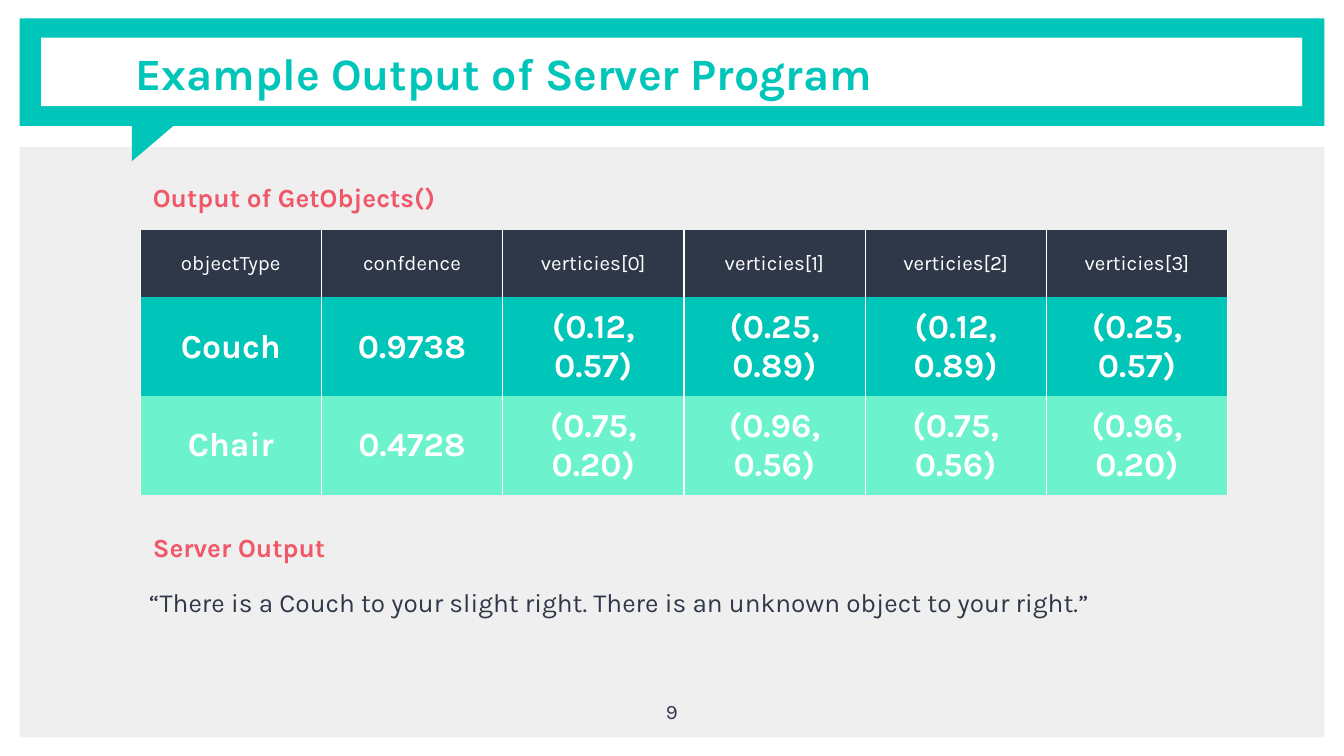
from dataclasses import dataclass

from lxml.etree import SubElement
from pptx import Presentation
from pptx.dml.color import RGBColor
from pptx.enum.shapes import MSO_SHAPE
from pptx.enum.text import MSO_ANCHOR, PP_ALIGN
from pptx.oxml.ns import qn
from pptx.util import Cm, Pt

WHITE = RGBColor(0xFF, 0xFF, 0xFF)
GREY = RGBColor(0xEF, 0xEF, 0xEF)
TEAL = RGBColor(0x00, 0xC5, 0xB9)
MINT = RGBColor(0x6C, 0xF3, 0xCE)
NAVY = RGBColor(0x2F, 0x38, 0x48)
CORAL = RGBColor(0xF0, 0x57, 0x68)
FONT = "Karla"


@dataclass
class Box:
    left: float
    top: float
    width: float
    height: float

    def lengths(self) -> tuple:
        return Cm(self.left), Cm(self.top), Cm(self.width), Cm(self.height)


@dataclass
class Panel:
    box: Box
    color: RGBColor
    kind: MSO_SHAPE = MSO_SHAPE.RECTANGLE
    rotation: int = 0


@dataclass
class Label:
    box: Box
    text: str
    size: int = 14
    color: RGBColor = NAVY
    bold: bool = False
    align: PP_ALIGN = PP_ALIGN.LEFT
    anchor: MSO_ANCHOR = MSO_ANCHOR.TOP
    inset: float = 0.13


@dataclass
class Row:
    height: float
    fill: RGBColor
    size: int
    bold: bool
    texts: list[str]


PANELS = [
    Panel(Box(0.37, 2.78, 24.66, 11.16), GREY),
    Panel(Box(0.37, 0.35, 24.66, 2.03), TEAL),
    Panel(Box(2.57, 2.06, 0.91, 1.07), TEAL, MSO_SHAPE.RIGHT_TRIANGLE, 90),
    Panel(Box(0.78, 0.71, 23.83, 1.3), WHITE),
]

LABELS = [
    Label(Box(2.31, 0.35, 22.1, 2.03), "Example Output of Server Program", size=24,
          color=TEAL, bold=True, anchor=MSO_ANCHOR.MIDDLE, inset=0.25),
    Label(Box(11.94, 12.98, 1.52, 1.09), "9", size=11,
          align=PP_ALIGN.CENTER, inset=0.25),
    Label(Box(2.64, 3.3, 12.7, 0.86), "Output of GetObjects()", color=CORAL, bold=True),
    Label(Box(2.64, 9.91, 12.7, 0.86), "Server Output", color=CORAL, bold=True),
    Label(Box(2.57, 10.95, 21.34, 0.86),
          "“There is a Couch to your slight right. "
          "There is an unknown object to your right.”"),
]

ROWS = [
    Row(1.27, NAVY, 11, False,
        ["objectType", "confdence"] + [f"verticies[{i}]" for i in range(4)]),
    Row(1.87, TEAL, 18, True,
        ["Couch", "0.9738", "(0.12, 0.57)", "(0.25, 0.89)", "(0.12, 0.89)", "(0.25, 0.57)"]),
    Row(1.87, MINT, 18, True,
        ["Chair", "0.4728", "(0.75, 0.20)", "(0.96, 0.56)", "(0.75, 0.56)", "(0.96, 0.20)"]),
]


def write(tf, text: str, *, size: int, color: RGBColor, bold: bool = False,
          align: PP_ALIGN = PP_ALIGN.LEFT) -> None:
    p = tf.paragraphs[0]
    p.alignment = align
    r = p.add_run()
    r.text = text
    r.font.name = FONT
    r.font.size = Pt(size)
    r.font.bold = bold
    r.font.color.rgb = color


def draw_panel(s, panel: Panel) -> None:
    sp = s.shapes.add_shape(panel.kind, *panel.box.lengths())
    sp.rotation = panel.rotation
    sp.shadow.inherit = False
    sp.fill.solid()
    sp.fill.fore_color.rgb = panel.color
    sp.line.fill.background()


def draw_label(s, label: Label) -> None:
    tf = s.shapes.add_textbox(*label.box.lengths()).text_frame
    tf.word_wrap = True
    tf.vertical_anchor = label.anchor
    tf.margin_left = tf.margin_right = Cm(0.25)
    tf.margin_top = tf.margin_bottom = Cm(label.inset)
    write(tf, label.text, size=label.size, color=label.color,
          bold=label.bold, align=label.align)


def set_borders(cell) -> None:
    tcPr = cell._tc.get_or_add_tcPr()
    for side in ("lnL", "lnR"):
        ln = SubElement(tcPr, qn(f"a:{side}"), w=str(Pt(0.75)))
        fill = SubElement(ln, qn("a:solidFill"))
        SubElement(fill, qn("a:srgbClr"), val=str(WHITE))
    for side in ("lnT", "lnB"):
        ln = SubElement(tcPr, qn(f"a:{side}"), w="0")
        SubElement(ln, qn("a:noFill"))


def draw_table(s, box: Box, rows: list[Row]) -> None:
    columns = len(rows[0].texts)
    table = s.shapes.add_table(len(rows), columns, *box.lengths()).table
    table.horz_banding = False
    table.first_row = False
    for column in table.columns:
        column.width = Cm(box.width / columns)
    for i, row in enumerate(rows):
        table.rows[i].height = Cm(row.height)
        for j, text in enumerate(row.texts):
            cell = table.cell(i, j)
            set_borders(cell)
            cell.fill.solid()
            cell.fill.fore_color.rgb = row.fill
            cell.vertical_anchor = MSO_ANCHOR.MIDDLE
            cell.margin_left = cell.margin_right = Cm(0.25)
            cell.margin_top = cell.margin_bottom = Cm(0.18)
            write(cell.text_frame, text, size=row.size, color=WHITE,
                  bold=row.bold, align=PP_ALIGN.CENTER)


def main() -> None:
    prs = Presentation()
    prs.slide_width, prs.slide_height = Cm(25.4), Cm(14.29)
    s = prs.slides.add_slide(prs.slide_layouts[6])
    for panel in PANELS:
        draw_panel(s, panel)
    draw_table(s, Box(2.65, 4.35, 20.55, sum(row.height for row in ROWS)), ROWS)
    for label in LABELS:
        draw_label(s, label)
    prs.save("out.pptx")


if __name__ == "__main__":
    main()
